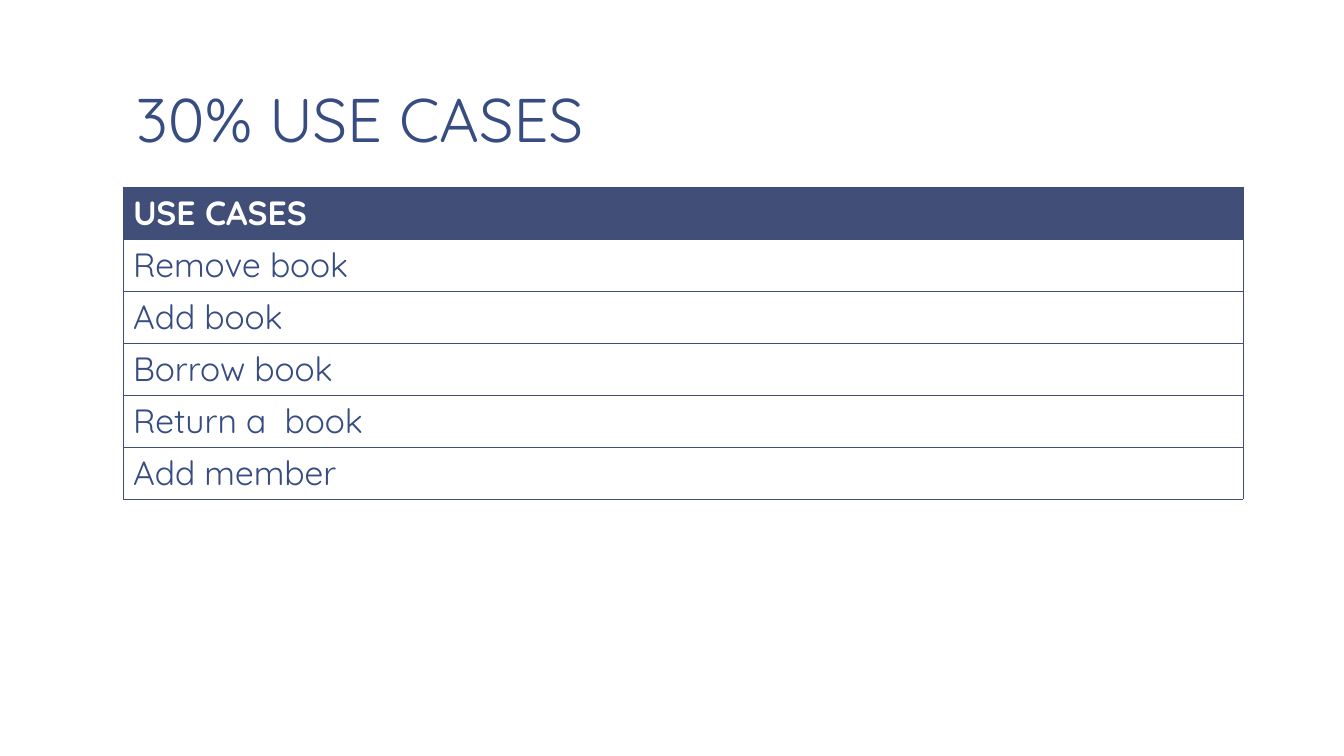
from lxml.etree import SubElement
from pptx import Presentation
from pptx.dml.color import RGBColor
from pptx.enum.text import MSO_ANCHOR as Anchor
from pptx.oxml.ns import qn
from pptx.util import Pt

PX = 914400 / 100.8
NAVY, BLUE, WHITE = "414E77", "374C81", "FFFFFF"
USE_CASES = ["Remove book", "Add book", "Borrow book", "Return a  book", "Add member"]
LEFT, WIDTH, ROW_HEIGHT = 123, 1120, 52


def px(*lengths):
    return [round(length * PX) for length in lengths]


def write(paragraph, text, size, colour, bold=False):
    run = paragraph.add_run()
    run.text = text
    for name, value in {"name": "Quicksand", "size": Pt(size), "bold": bold}.items():
        setattr(run.font, name, value)
    run.font.color.rgb = RGBColor.from_string(colour)


presentation = Presentation()
presentation.slide_width, presentation.slide_height = px(1344, 756)
slide = presentation.slides.add_slide(presentation.slide_layouts[6])
slide.background.fill.solid()
slide.background.fill.fore_color.rgb = RGBColor.from_string(WHITE)

# Title
title = slide.shapes.add_textbox(*px(LEFT, 8, WIDTH, 154)).text_frame
title.word_wrap = True
title.vertical_anchor = Anchor.BOTTOM
title.margin_left, title.margin_right, title.margin_top, title.margin_bottom = px(13, 13, 7, 7)
title.paragraphs[0].line_spacing = 0.85
write(title.paragraphs[0], "30% USE CASES", 44, BLUE)

# Table
rows = ["USE CASES", *USE_CASES]
frame = slide.shapes.add_table(len(rows), 2, *px(LEFT, 187, WIDTH, ROW_HEIGHT * len(rows)))
table = frame.table
table.first_row = table.horz_banding = False

for row_index, text in enumerate(rows):
    is_header = row_index == 0
    for column_index in range(2):
        cell = table.cell(row_index, column_index)

        # Borders: all sides but the one between the columns
        properties = cell._tc.get_or_add_tcPr()
        inner_side = "R" if column_index == 0 else "L"
        for side in "LRTB":
            line = SubElement(properties, qn(f"a:ln{side}"), w=str(Pt(0.5)))
            if side == inner_side:
                SubElement(line, qn("a:noFill"))
            else:
                fill = SubElement(line, qn("a:solidFill"))
                SubElement(fill, qn("a:srgbClr"), val=NAVY)

        # Fill
        if is_header:
            cell.fill.solid()
            cell.fill.fore_color.rgb = RGBColor.from_string(NAVY)
        else:
            cell.fill.background()

    # Text in the first column
    paragraph = table.cell(row_index, 0).text_frame.paragraphs[0]
    write(paragraph, text, 24, WHITE if is_header else BLUE, bold=is_header)

presentation.save("out.pptx")
